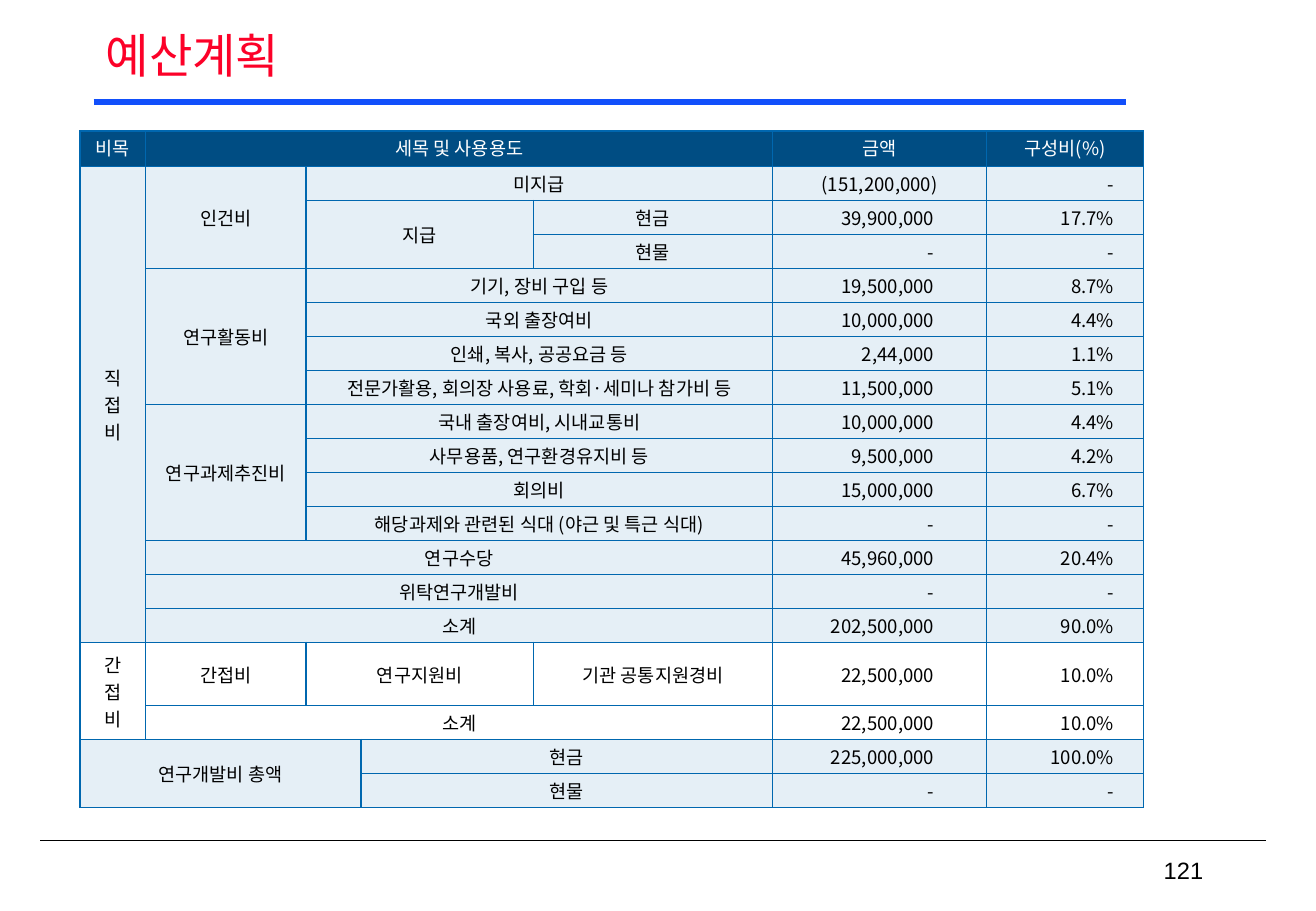
from dataclasses import dataclass

from lxml import etree
from pptx import Presentation
from pptx import util as u
from pptx.dml.color import RGBColor
from pptx.enum import shapes, text
from pptx.oxml import ns

ALIGN = text.PP_ALIGN
MIDDLE = text.MSO_ANCHOR.MIDDLE


@dataclass(frozen=True)
class Theme:
    title: str = "FC0128"
    bar: str = "114FFB"
    ink: str = "000000"
    head: str = "004D83"
    light: str = "FFFFFF"
    grid: str = "0067AF"
    tint: int = 10
    face: str = "Arial"
    body: str = "Noto Sans CJK KR"
    title_size: int = 28
    page_size: int = 14
    cell_size: int = 11


THEME = Theme()
COLS = [0.54, 1.32, 0.45, 1.42, 1.97, 1.76, 1.29]
ROWS = [0.29] + [0.28] * 14 + [0.52] + [0.28] * 3
PLAIN_ROWS = (15, 16)

# row, column, rows spanned, columns spanned, label
LABELS = [
    (0, 0, 1, 1, "비목"),
    (0, 1, 1, 4, "세목 및 사용용도"),
    (0, 5, 1, 1, "금액"),
    (0, 6, 1, 1, "구성비(%)"),
    (1, 0, 14, 1, "직\n접\n비"),
    (1, 1, 3, 1, "인건비"),
    (1, 2, 1, 3, "미지급"),
    (2, 2, 2, 2, "지급"),
    (2, 4, 1, 1, "현금"),
    (3, 4, 1, 1, "현물"),
    (4, 1, 4, 1, "연구활동비"),
    (4, 2, 1, 3, "기기, 장비 구입 등"),
    (5, 2, 1, 3, "국외 출장여비"),
    (6, 2, 1, 3, "인쇄, 복사, 공공요금 등"),
    (7, 2, 1, 3, "전문가활용, 회의장 사용료, 학회·세미나 참가비 등"),
    (8, 1, 4, 1, "연구과제추진비"),
    (8, 2, 1, 3, "국내 출장여비, 시내교통비"),
    (9, 2, 1, 3, "사무용품, 연구환경유지비 등"),
    (10, 2, 1, 3, "회의비"),
    (11, 2, 1, 3, "해당과제와 관련된 식대 (야근 및 특근 식대)"),
    (12, 1, 1, 4, "연구수당"),
    (13, 1, 1, 4, "위탁연구개발비"),
    (14, 1, 1, 4, "소계"),
    (15, 0, 2, 1, "간\n접\n비"),
    (15, 1, 1, 1, "간접비"),
    (15, 2, 1, 2, "연구지원비"),
    (15, 4, 1, 1, "기관 공통지원경비"),
    (16, 1, 1, 4, "소계"),
    (17, 0, 2, 3, "연구개발비 총액"),
    (17, 3, 1, 2, "현금"),
    (18, 3, 1, 2, "현물"),
]

# amount and share for each row below the header
VALUES = [
    ("(151,200,000)", "-"),
    ("39,900,000", "17.7%"),
    ("-", "-"),
    ("19,500,000", "8.7%"),
    ("10,000,000", "4.4%"),
    ("2,44,000", "1.1%"),
    ("11,500,000", "5.1%"),
    ("10,000,000", "4.4%"),
    ("9,500,000", "4.2%"),
    ("15,000,000", "6.7%"),
    ("-", "-"),
    ("45,960,000", "20.4%"),
    ("-", "-"),
    ("202,500,000", "90.0%"),
    ("22,500,000", "10.0%"),
    ("22,500,000", "10.0%"),
    ("225,000,000", "100.0%"),
    ("-", "-"),
]


def rgb(code):
    return RGBColor.from_string(code)


def apply(item, values):
    for name, value in values.items():
        setattr(item, name, value)


def write(frame, words, face, size, color, **layout):
    frame.text = words
    for para in frame.paragraphs:
        apply(para, layout)
        for run in para.runs:
            apply(run.font, {"name": face, "size": u.Pt(size), "bold": False})
            run.font.color.rgb = rgb(color)
            east = etree.SubElement(run.font._element, ns.qn("a:ea"))
            east.set("typeface", face)


def add_rule(slide, left, right, top, color, width):
    line = slide.shapes.add_connector(
        shapes.MSO_CONNECTOR.STRAIGHT,
        u.Inches(left), u.Inches(top), u.Inches(right), u.Inches(top))
    line.line.color.rgb = rgb(color)
    line.line.width = u.Pt(width)
    etree.SubElement(line._element.spPr, ns.qn("a:effectLst"))


def add_title(slide, words):
    title = slide.shapes.title
    apply(title, {"left": u.Inches(0.77), "top": u.Inches(0.17),
                  "width": u.Inches(9.29), "height": u.Inches(0.62)})
    title.text_frame.vertical_anchor = MIDDLE
    write(title.text_frame, words, THEME.face, THEME.title_size, THEME.title,
          alignment=ALIGN.JUSTIFY, line_spacing=0.9)


def add_page(slide, number):
    box = slide.shapes.add_textbox(
        u.Inches(7.75), u.Inches(7), u.Inches(2.25), u.Inches(0.33))
    apply(box.text_frame, {"word_wrap": True, "vertical_anchor": MIDDLE})
    write(box.text_frame, number, THEME.face, THEME.page_size, THEME.ink,
          alignment=ALIGN.RIGHT)


def style_cell(cell, row):
    """Fill the cell by its row and draw its four borders."""
    if row in PLAIN_ROWS:
        cell.fill.background()
    else:
        cell.fill.solid()
        cell.fill.fore_color.rgb = rgb(THEME.grid if row else THEME.head)
    props = cell._tc.get_or_add_tcPr()
    if row and row not in PLAIN_ROWS:
        shade = props.find(".//" + ns.qn("a:srgbClr"))
        etree.SubElement(shade, ns.qn("a:alpha")).set(
            "val", str(THEME.tint * 1000))
    for spot, side in enumerate("LRTB"):
        edge = etree.Element(ns.qn("a:ln" + side), w=str(u.Pt(1)))
        solid = etree.SubElement(edge, ns.qn("a:solidFill"))
        etree.SubElement(solid, ns.qn("a:srgbClr"), val=THEME.grid)
        props.insert(spot, edge)


def fill_cell(cell, words, head=False, inset=None):
    """Centre the words, or align them right when an inset is given."""
    margin = u.Inches(0.01)
    apply(cell, {"margin_left": margin, "margin_top": margin,
                 "margin_bottom": margin, "vertical_anchor": MIDDLE,
                 "margin_right": u.Inches(inset) if inset else margin})
    write(cell.text_frame, words, THEME.body, THEME.cell_size,
          THEME.light if head else THEME.ink,
          alignment=ALIGN.RIGHT if inset else ALIGN.CENTER,
          line_spacing=0.8 if head else 1.0)


def add_budget(slide):
    table = slide.shapes.add_table(
        len(ROWS), len(COLS), u.Inches(0.66), u.Inches(1.08),
        u.Inches(sum(COLS)), u.Inches(sum(ROWS))).table
    apply(table, {"first_row": False, "horz_banding": False})
    for column, width in zip(table.columns, COLS):
        column.width = u.Inches(width)
    for index, height in enumerate(ROWS):
        table.rows[index].height = u.Inches(height)
        for cell in table.rows[index].cells:
            style_cell(cell, index)
    for row, col, down, across, words in LABELS:
        cell = table.cell(row, col)
        if down * across > 1:
            cell.merge(table.cell(row + down - 1, col + across - 1))
        fill_cell(cell, words, head=row == 0)
    for row, (amount, share) in enumerate(VALUES, 1):
        inset = None if amount.startswith("(") else 0.43
        fill_cell(table.cell(row, 5), amount, inset=inset)
        fill_cell(table.cell(row, 6), share, inset=0.24)


def main():
    deck = Presentation()
    apply(deck, {"slide_width": u.Inches(10.83),
                 "slide_height": u.Inches(7.5)})
    slide = deck.slides.add_slide(deck.slide_layouts[5])
    add_rule(slide, 0.33, 10.42, 6.92, THEME.ink, 1)
    add_rule(slide, 0.77, 9.27, 0.84, THEME.bar, 3.75)
    add_title(slide, "예산계획")
    add_page(slide, "121")
    add_budget(slide)
    deck.save("out.pptx")


if __name__ == "__main__":
    main()
